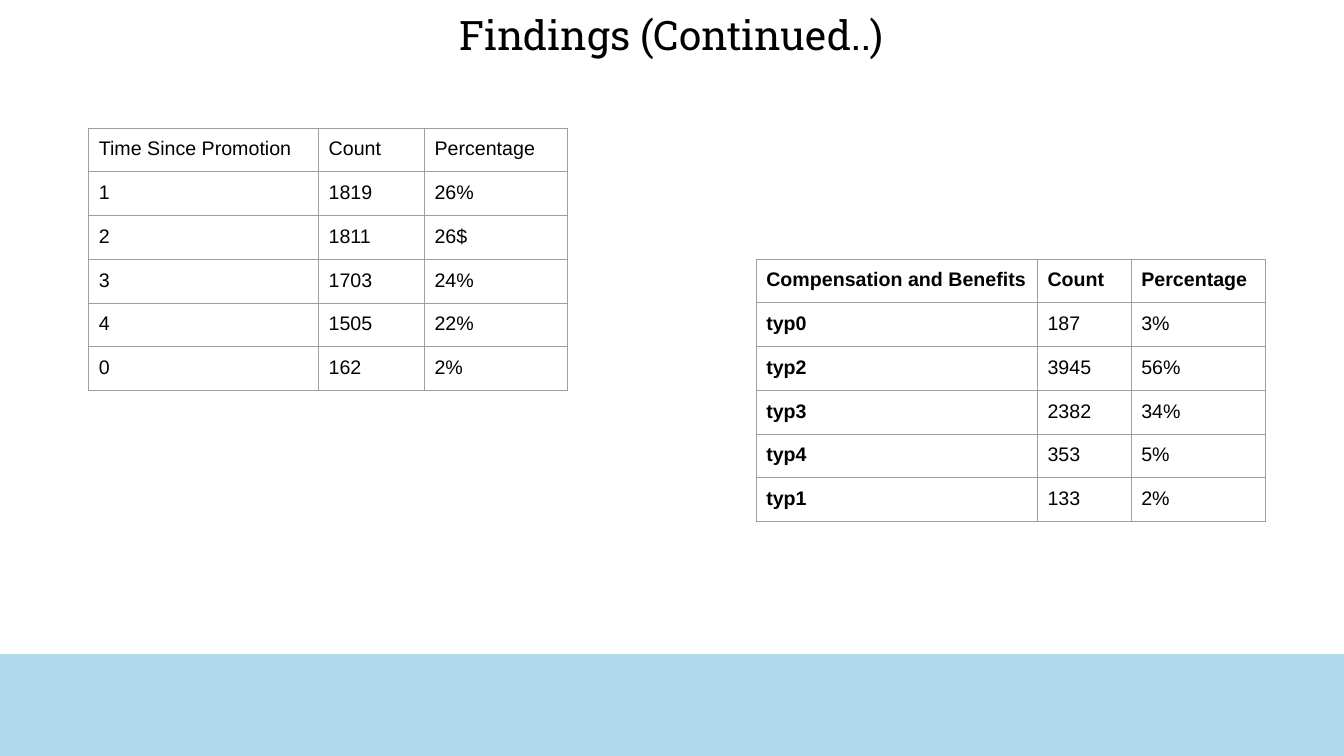
from lxml.etree import SubElement
from pptx import Presentation
from pptx.dml.color import RGBColor
from pptx.enum.shapes import MSO_SHAPE
from pptx.enum.text import MSO_ANCHOR, MSO_AUTO_SIZE, PP_ALIGN
from pptx.oxml.ns import qn
from pptx.util import Inches, Pt

BLACK = RGBColor(0x00, 0x00, 0x00)
BLUE = RGBColor(0xAD, 0xD9, 0xEA)
GREY = RGBColor(0x9E, 0x9E, 0x9E)
ROW = 0.42

PROMOTION = [
    ("Time Since Promotion", "Count", "Percentage"),
    ("1", "1819", "26%"),
    ("2", "1811", "26$"),
    ("3", "1703", "24%"),
    ("4", "1505", "22%"),
    ("0", "162", "2%"),
]
BENEFITS = [
    ("Compensation and Benefits", "Count", "Percentage"),
    ("typ0", "187", "3%"),
    ("typ2", "3945", "56%"),
    ("typ3", "2382", "34%"),
    ("typ4", "353", "5%"),
    ("typ1", "133", "2%"),
]


def add_borders(cell):
    props = cell._tc.get_or_add_tcPr()
    for side in ("lnL", "lnR", "lnT", "lnB"):
        line = SubElement(props, qn(f"a:{side}"), w=str(Pt(0.75)))
        fill = SubElement(line, qn("a:solidFill"))
        SubElement(fill, qn("a:srgbClr"), val=str(GREY))


def add_grid(slide, left, top, widths, rows, bold):
    """Add a bordered table; bold marks its header row and first column."""
    frame = slide.shapes.add_table(
        len(rows), len(widths), Inches(left), Inches(top),
        Inches(sum(widths)), Inches(ROW * len(rows)))
    table = frame.table
    table.first_row = False
    table.horz_banding = False
    for column, width in zip(table.columns, widths):
        column.width = Inches(width)
    for r, row in enumerate(rows):
        table.rows[r].height = Inches(ROW)
        for c, text in enumerate(row):
            cell = table.cell(r, c)
            cell.margin_left = cell.margin_right = Inches(0.1)
            cell.margin_top = cell.margin_bottom = Inches(0.1)
            add_borders(cell)
            cell.fill.background()
            cell.text_frame.text = text
            font = cell.text_frame.paragraphs[0].runs[0].font
            font.name = "Arial"
            font.size = Pt(14)
            font.bold = bold and (r == 0 or c == 0)
            font.color.rgb = BLACK


deck = Presentation()
deck.slide_width = Inches(13.33)
deck.slide_height = Inches(7.5)
slide = deck.slides.add_slide(deck.slide_layouts[5])

band = slide.shapes.add_shape(
    MSO_SHAPE.RECTANGLE, 0, Inches(6.49), Inches(13.33), Inches(1.01))
band.shadow.inherit = False
band.fill.solid()
band.fill.fore_color.rgb = BLUE
band.line.fill.background()

title = slide.shapes.title
title.left, title.top = Inches(0.21), Inches(0.06)
title.width, title.height = Inches(12.91), Inches(0.49)
frame = title.text_frame
frame.text = "Findings (Continued..)"
frame.word_wrap = True
frame.auto_size = MSO_AUTO_SIZE.SHAPE_TO_FIT_TEXT
frame.vertical_anchor = MSO_ANCHOR.MIDDLE
frame.margin_left = frame.margin_right = 0
frame.margin_top = frame.margin_bottom = 0
heading = frame.paragraphs[0]
heading.alignment = PP_ALIGN.CENTER
heading.line_spacing = 1.14
font = heading.runs[0].font
font.name = "Roboto Slab"
font.size = Pt(29)
font.color.rgb = BLACK

add_grid(slide, 0.88, 1.27, (2.28, 1.05, 1.42), PROMOTION, False)
add_grid(slide, 7.5, 2.57, (2.79, 0.93, 1.33), BENEFITS, True)

deck.save("out.pptx")
